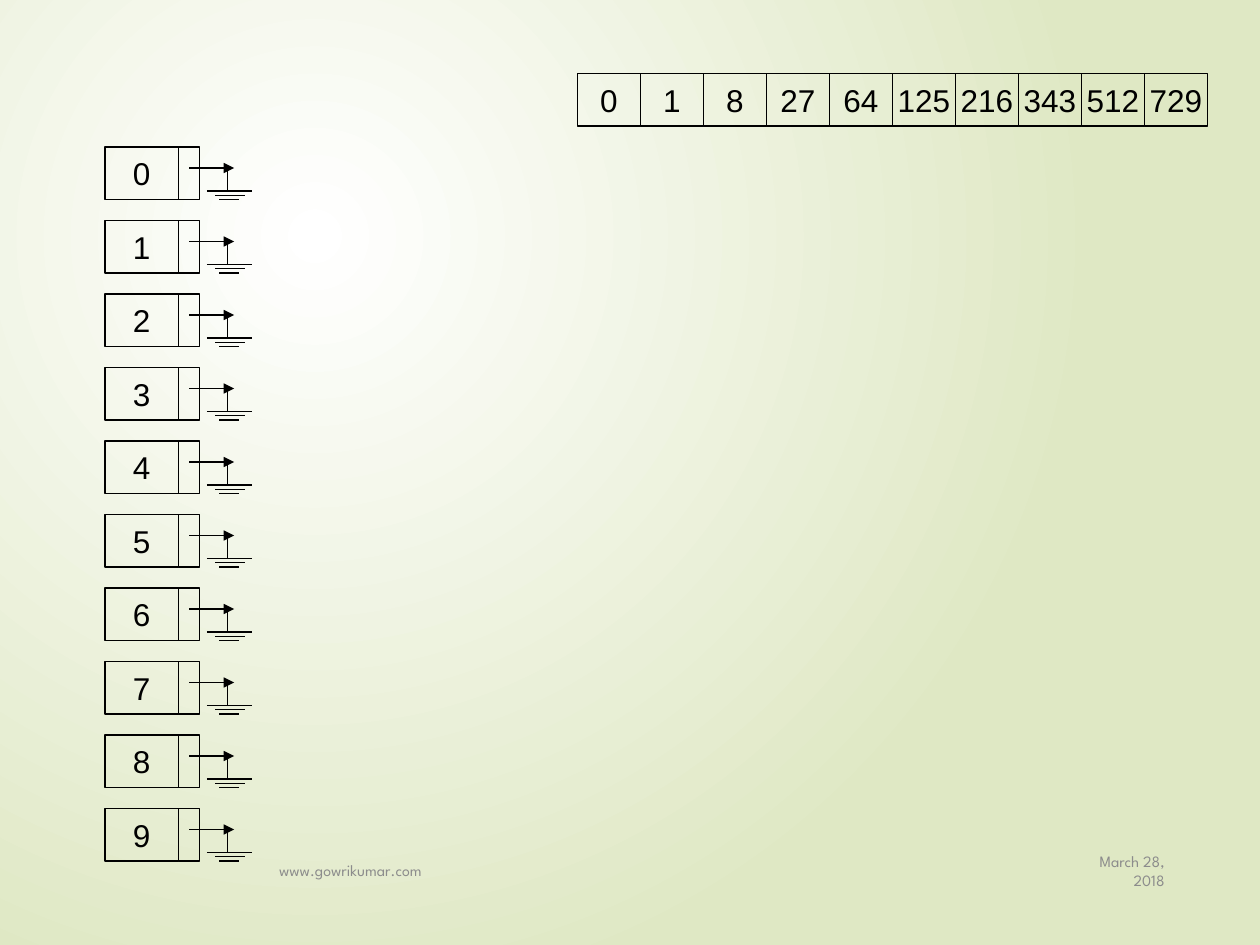
"""Build a slide with ten empty radix-sort buckets and the array of cubes."""
from dataclasses import dataclass

from lxml.etree import SubElement
from pptx import Presentation
from pptx.dml.color import RGBColor
from pptx.enum.shapes import MSO_CONNECTOR, MSO_SHAPE
from pptx.enum.text import MSO_ANCHOR, PP_ALIGN
from pptx.oxml.ns import qn
from pptx.shapes.connector import Connector
from pptx.shapes.shapetree import GroupShapes, SlideShapes
from pptx.slide import Slide
from pptx.text.text import TextFrame
from pptx.util import Emu, Pt

EMU_PER_PX = 7620
BLACK = RGBColor(0x00, 0x00, 0x00)
WHITE = RGBColor(0xFF, 0xFF, 0xFF)
PALE_GREEN = RGBColor(0xDF, 0xE8, 0xC4)
GREY = RGBColor(0x8C, 0x8C, 0x8C)
LINE_WIDTH = Pt(0.75)

DIGITS = range(10)
BUCKET_LEFT, BUCKET_TOP, BUCKET_PITCH = 100, 140, 70
DIGIT_WIDTH, POINTER_WIDTH, CELL_HEIGHT = 70, 20, 50
ARRAY_LEFT, ARRAY_TOP, ARRAY_CELL_WIDTH = 550, 70, 60


@dataclass(frozen=True)
class Box:
    left: int
    top: int
    width: int
    height: int


@dataclass(frozen=True)
class Stroke:
    x1: int
    y1: int
    x2: int
    y2: int
    arrow: bool = False


@dataclass(frozen=True)
class Footer:
    wording: str
    box: Box
    align: PP_ALIGN


NULL_POINTER = (
    Stroke(80, 20, 123, 20, arrow=True),
    Stroke(97, 42, 140, 42),
    Stroke(109, 50, 128, 50),
    Stroke(105, 46, 133, 46),
    Stroke(117, 42, 117, 20),
)
FOOTERS = (
    Footer("March 28, 2018", Box(1020, 805, 101, 48), PP_ALIGN.RIGHT),
    Footer("www.gowrikumar.com", Box(254, 805, 750, 48), PP_ALIGN.LEFT),
)


def px(length: int) -> Emu:
    """Turn pixels into EMU."""
    return Emu(length * EMU_PER_PX)


def place(box: Box) -> tuple[Emu, Emu, Emu, Emu]:
    """Give the box's position and size in EMU."""
    return px(box.left), px(box.top), px(box.width), px(box.height)


def write(frame: TextFrame, wording: str, align: PP_ALIGN, font_name: str,
          size: int, color: RGBColor) -> None:
    """Fill a text frame with one formatted paragraph."""
    frame.text = wording
    frame.vertical_anchor = MSO_ANCHOR.MIDDLE
    paragraph = frame.paragraphs[0]
    paragraph.alignment = align
    font = paragraph.runs[0].font
    font.name = font_name
    font.size = Pt(size)
    font.color.rgb = color


def draw_cell(shapes: SlideShapes | GroupShapes, box: Box, value: str = "") -> None:
    """Draw an outlined cell with an optional centred value."""
    cell = shapes.add_shape(MSO_SHAPE.RECTANGLE, *place(box))
    cell.shadow.inherit = False
    cell.fill.background()
    cell.line.color.rgb = BLACK
    cell.line.width = LINE_WIDTH
    if value:
        cell.text_frame.word_wrap = False
        write(cell.text_frame, value, PP_ALIGN.CENTER, "Arial", 18, BLACK)


def draw_stroke(shapes: GroupShapes, stroke: Stroke, left: int, top: int) -> Connector:
    """Draw a straight stroke relative to the bucket's corner."""
    connector = shapes.add_connector(
        MSO_CONNECTOR.STRAIGHT,
        px(left + stroke.x1), px(top + stroke.y1),
        px(left + stroke.x2), px(top + stroke.y2),
    )
    connector.line.color.rgb = BLACK
    connector.line.width = LINE_WIDTH
    if stroke.arrow:
        SubElement(connector.line._get_or_add_ln(), qn("a:tailEnd"), type="triangle")
    SubElement(connector._element.spPr, qn("a:effectLst"))
    return connector


def draw_bucket(slide: Slide, digit: int) -> None:
    """Draw one grouped bucket whose pointer leads to ground."""
    bucket = slide.shapes.add_group_shape().shapes
    top = BUCKET_TOP + digit * BUCKET_PITCH
    draw_cell(bucket, Box(BUCKET_LEFT, top, DIGIT_WIDTH, CELL_HEIGHT), str(digit))
    draw_cell(bucket, Box(BUCKET_LEFT + DIGIT_WIDTH, top, POINTER_WIDTH, CELL_HEIGHT))
    for stroke in NULL_POINTER:
        draw_stroke(bucket, stroke, BUCKET_LEFT, top)


def draw_footer(slide: Slide, footer: Footer) -> None:
    """Draw one grey footer text."""
    frame = slide.shapes.add_textbox(*place(footer.box)).text_frame
    frame.word_wrap = True
    write(frame, footer.wording, footer.align, "League Spartan", 9, GREY)


def paint_background(slide: Slide) -> None:
    """Paint a circular gradient centred in the upper left quarter."""
    fill = slide.background.fill
    fill.gradient()
    for stop, color, position in zip(fill.gradient_stops, (WHITE, PALE_GREEN), (0, 1)):
        stop.color.rgb = color
        stop.position = position
    gradient = next(slide._element.iter(qn("a:gradFill")))
    gradient.remove(gradient.find(qn("a:lin")))
    circle = SubElement(gradient, qn("a:path"), path="circle")
    SubElement(circle, qn("a:fillToRect"), l="50000", t="50000", r="100000", b="100000")


def main() -> None:
    """Build and save the slide."""
    presentation = Presentation()
    presentation.slide_width, presentation.slide_height = px(1200), px(900)
    slide = presentation.slides.add_slide(presentation.slide_layouts[6])
    paint_background(slide)
    for footer in FOOTERS:
        draw_footer(slide, footer)
    for digit in DIGITS:
        left = ARRAY_LEFT + digit * ARRAY_CELL_WIDTH
        draw_cell(slide.shapes, Box(left, ARRAY_TOP, ARRAY_CELL_WIDTH, CELL_HEIGHT),
                  str(digit ** 3))
        draw_bucket(slide, digit)
    presentation.save("out.pptx")


if __name__ == "__main__":
    main()
